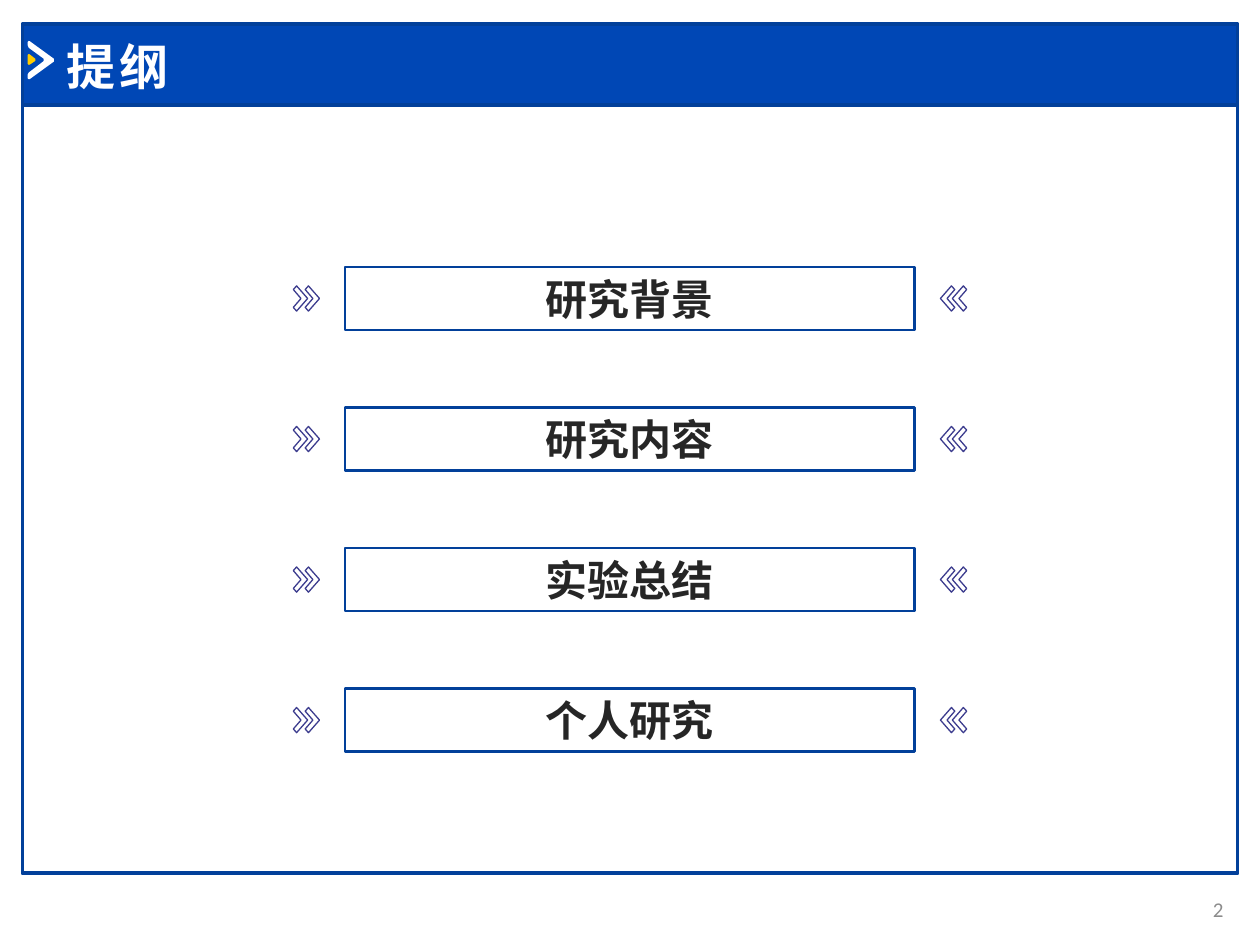
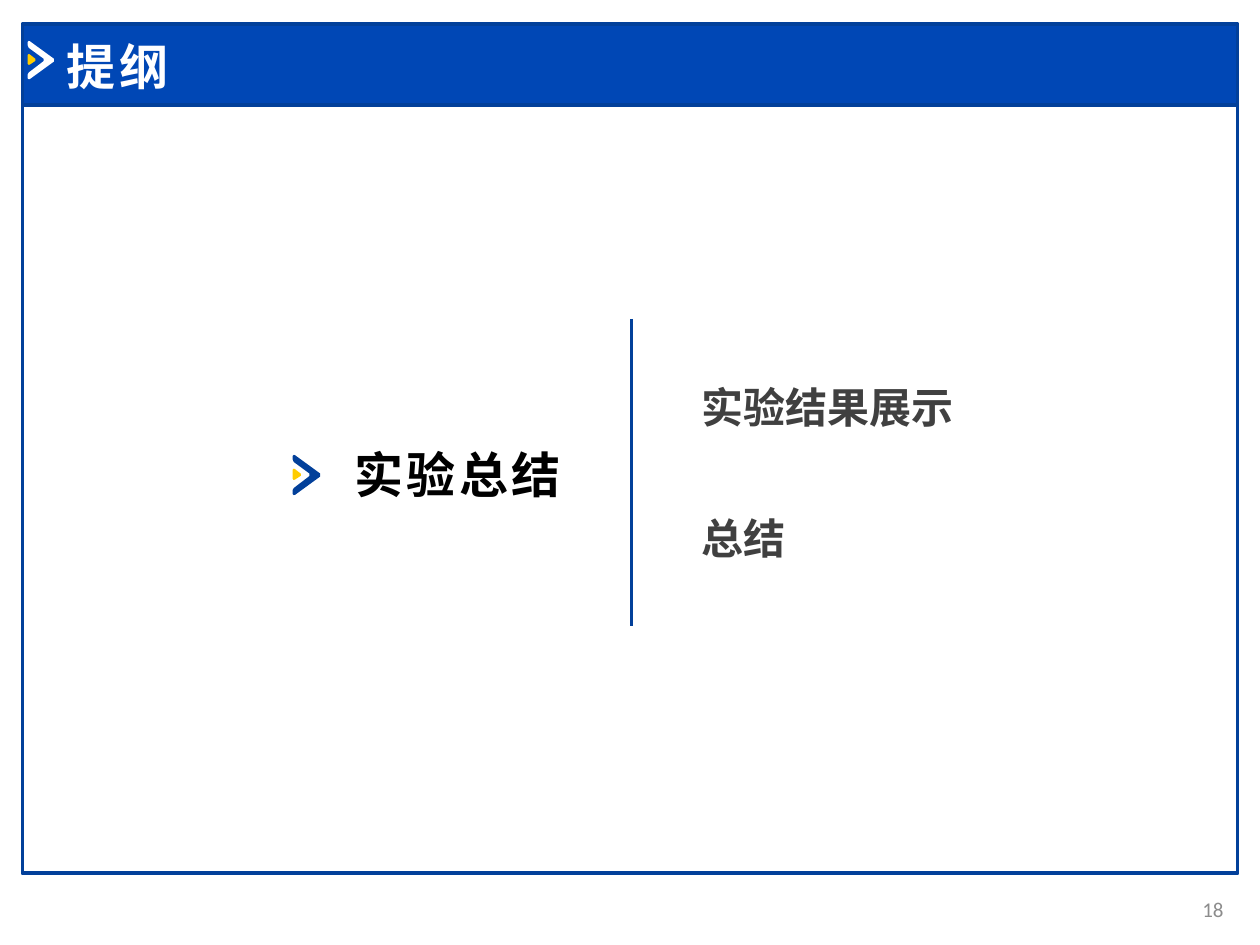
"""Builds two outline slides that share a framed page with a title band."""
from lxml import etree
from pptx import Presentation
from pptx.dml.color import RGBColor
from pptx.enum.shapes import MSO_CONNECTOR, MSO_SHAPE
from pptx.enum.text import MSO_ANCHOR, PP_ALIGN
from pptx.oxml.ns import qn
from pptx.util import Pt

RECTANGLE = MSO_SHAPE.RECTANGLE
STRAIGHT = MSO_CONNECTOR.STRAIGHT
TOP, MIDDLE = MSO_ANCHOR.TOP, MSO_ANCHOR.MIDDLE
LEFT, CENTER, RIGHT = PP_ALIGN.LEFT, PP_ALIGN.CENTER, PP_ALIGN.RIGHT

LATIN, CHINESE = "Calibri", "Noto Sans CJK SC"
BAND_BLUE, LINE_BLUE, CHEVRON_BLUE = "0047B5", "02409A", "3C3C8E"
WHITE, BLACK, GOLD = "FFFFFF", "000000", "FFCC00"
TOPIC_GRAY, POINT_GRAY, PAGE_GRAY = "262626", "404040", "8C8C8C"

SLIDE_WIDTH, SLIDE_HEIGHT = 720, 540
ROW_TOP, ROW_STEP, ROW_HEIGHT = 152.6, 80.3, 36
CHEVRON_LEFTS = (167.6, 174.4)
CHEVRON_HEIGHT = 14.4
CHEVRON = [(1.9, 0), (0, 2.1), (4.4, 7.2), (0, 12.3), (1.9, 14.4), (8.2, 7.2)]
ARROW_HEAD = [(0.7, 0), (0, 0.7), (0, 2.5), (0.7, 4.1), (9.7, 10.7), (9.7, 12.1),
              (0.7, 19), (0, 20.2), (0, 22.4), (0.7, 23), (1.4, 22.9),
              (15.8, 12.4), (15.8, 10.7), (1.4, 0.2)]
ARROW_CORE = [(0.7, 7.9), (0, 8.6), (0, 13.7), (0.7, 14.4), (1.4, 14.2),
              (4.7, 12), (4.7, 10.8), (1.4, 8.2)]


def color(hex_code):
    """Turn a hex string into a colour."""
    return RGBColor.from_string(hex_code)


def paint(shape, fill=None, line=None, weight=0):
    """Set fill and outline, and drop the shadow."""
    shape.shadow.inherit = False
    if fill:
        shape.fill.solid()
        shape.fill.fore_color.rgb = color(fill)
    else:
        shape.fill.background()
    if line:
        shape.line.color.rgb = color(line)
        shape.line.width = Pt(weight)
    else:
        shape.line.fill.background()


def write(shape, text, size, ink, font=LATIN, bold=True, align=LEFT, anchor=TOP, spacing=0):
    """Put one formatted paragraph into a shape."""
    frame = shape.text_frame
    frame.word_wrap = True
    frame.vertical_anchor = anchor
    paragraph = frame.paragraphs[0]
    paragraph.text = text
    paragraph.alignment = align
    run = paragraph.runs[0]
    run.font.size = Pt(size)
    run.font.bold = bold
    run.font.color.rgb = color(ink)
    run.font.name = font
    properties = run._r.get_or_add_rPr()
    properties.set("lang", "zh-CN")
    if spacing:
        properties.set("spc", str(spacing * 100))
    etree.SubElement(properties, qn("a:ea")).set("typeface", LATIN)


def add_box(slide, left, top, width, height, **look):
    """Add a painted rectangle."""
    box = slide.shapes.add_shape(RECTANGLE, Pt(left), Pt(top), Pt(width), Pt(height))
    paint(box, **look)
    return box


def add_label(slide, left, top, width, height, text, size, ink, **style):
    """Add a text box with one line of text."""
    label = slide.shapes.add_textbox(Pt(left), Pt(top), Pt(width), Pt(height))
    write(label, text, size, ink, **style)


def add_outline(slide, points, **look):
    """Add a closed polygon through points on the slide."""
    corners = [(Pt(x), Pt(y)) for x, y in points]
    builder = slide.shapes.build_freeform(*corners[0], scale=1.0)
    builder.add_line_segments(corners[1:], close=True)
    paint(builder.convert_to_shape(), **look)


def add_arrow_mark(slide, left, top, scale, head_color):
    """Add the arrow head with its gold core."""
    for points, fill in ((ARROW_HEAD, head_color), (ARROW_CORE, GOLD)):
        placed = [(left + x * scale, top + y * scale) for x, y in points]
        add_outline(slide, placed, fill=fill)


def add_divider(slide, x, top, bottom):
    """Add a vertical rule."""
    divider = slide.shapes.add_connector(STRAIGHT, Pt(x), Pt(top), Pt(x), Pt(bottom))
    divider.line.color.rgb = color(LINE_BLUE)
    divider.line.width = Pt(1.5)
    etree.SubElement(divider._element.spPr, qn("a:effectLst"))


def add_page(deck, title, number):
    """Add a slide with frame, title band and page number."""
    slide = deck.slides.add_slide(deck.slide_layouts[6])
    add_box(slide, 12.8, 60, 694.5, 439, line=LINE_BLUE, weight=2)
    add_box(slide, 12.8, 13.7, 694.5, 46.3, fill=BAND_BLUE, line=LINE_BLUE, weight=2)
    add_arrow_mark(slide, 15.8, 23.4, 0.95, WHITE)
    add_label(slide, 664, 505, 42.3, 28.8, str(number), 12, PAGE_GRAY,
              bold=False, align=RIGHT, anchor=MIDDLE)
    add_label(slide, 31, 17.3, 596, 41, title, 28, WHITE, anchor=MIDDLE, spacing=2)
    return slide


def add_topic_row(slide, top, topic):
    """Add a boxed topic with double chevrons pointing at it from both sides."""
    box = add_box(slide, 197.2, top, 325.6, ROW_HEIGHT, line=LINE_BLUE, weight=1.5)
    write(box, topic, 24, TOPIC_GRAY, font=CHINESE, align=CENTER)
    chevron_top = top + (ROW_HEIGHT - CHEVRON_HEIGHT) / 2
    for left in CHEVRON_LEFTS:
        pointing_right = [(left + x, chevron_top + y) for x, y in CHEVRON]
        pointing_left = [(SLIDE_WIDTH - x, y) for x, y in pointing_right]
        for points in (pointing_right, pointing_left):
            add_outline(slide, points, line=CHEVRON_BLUE, weight=0.75)


def add_outline_slide(deck):
    """Add the list of all topics."""
    slide = add_page(deck, "提纲", 2)
    for row, topic in enumerate(("研究背景", "研究内容", "实验总结", "个人研究")):
        add_topic_row(slide, ROW_TOP + row * ROW_STEP, topic)


def add_section_slide(deck):
    """Add one topic with its points."""
    slide = add_page(deck, "提纲", 18)
    add_label(slide, 195.4, 250.6, 155, 41, "实验总结", 28, BLACK, font=CHINESE, spacing=2)
    add_arrow_mark(slide, 167.2, 259.9, 1, LINE_BLUE)
    add_divider(slide, 360.7, 182.2, 357.8)
    for row, point in enumerate(("实验结果展示", "总结")):
        add_label(slide, 393.8, 214.6 + row * 75, 270, 36, point, 24, POINT_GRAY)


def main():
    """Build and save the deck."""
    deck = Presentation()
    deck.slide_width, deck.slide_height = Pt(SLIDE_WIDTH), Pt(SLIDE_HEIGHT)
    add_outline_slide(deck)
    add_section_slide(deck)
    deck.save("out.pptx")


if __name__ == "__main__":
    main()
